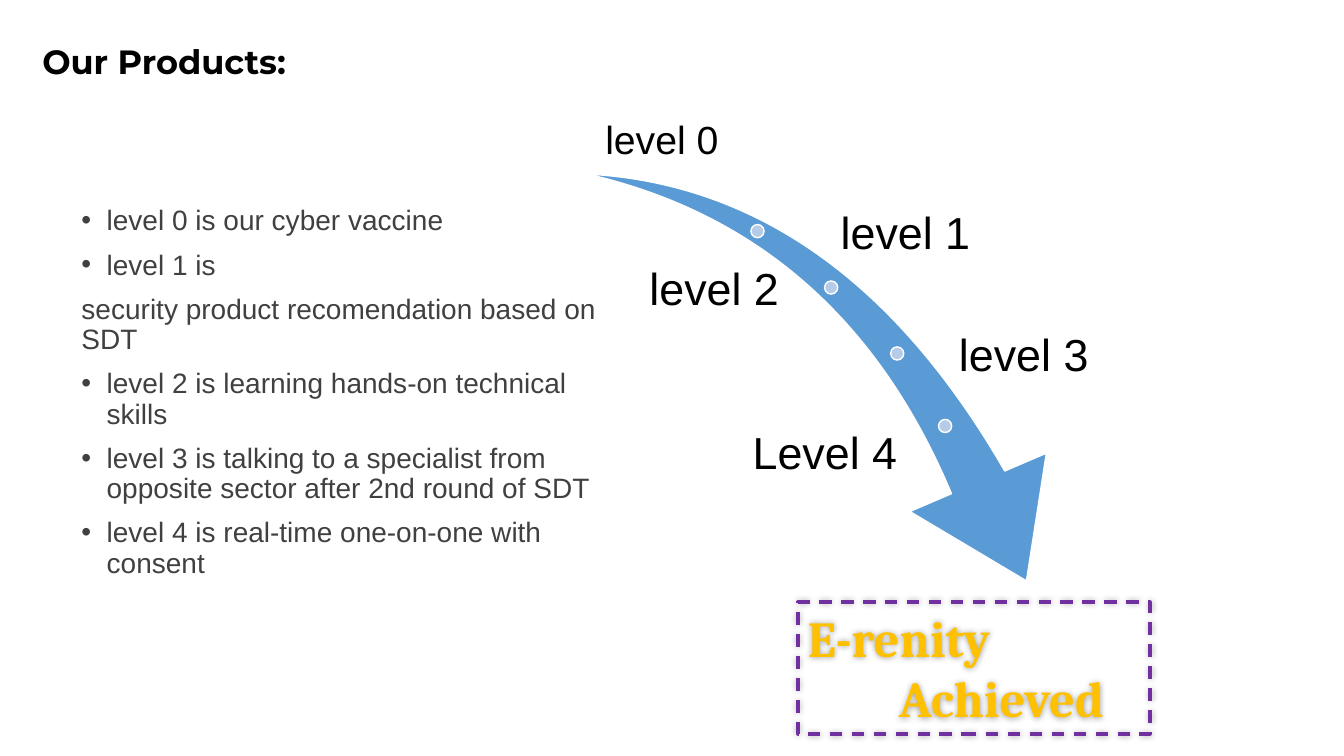
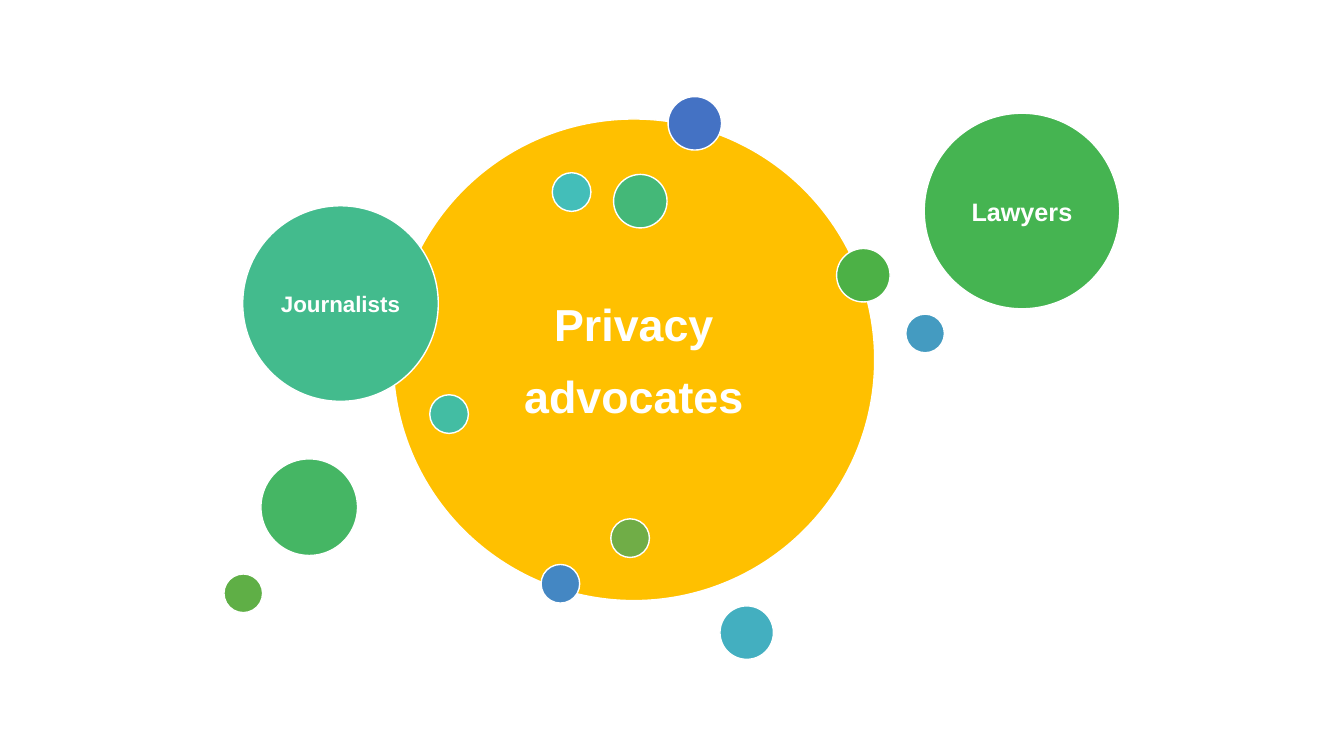
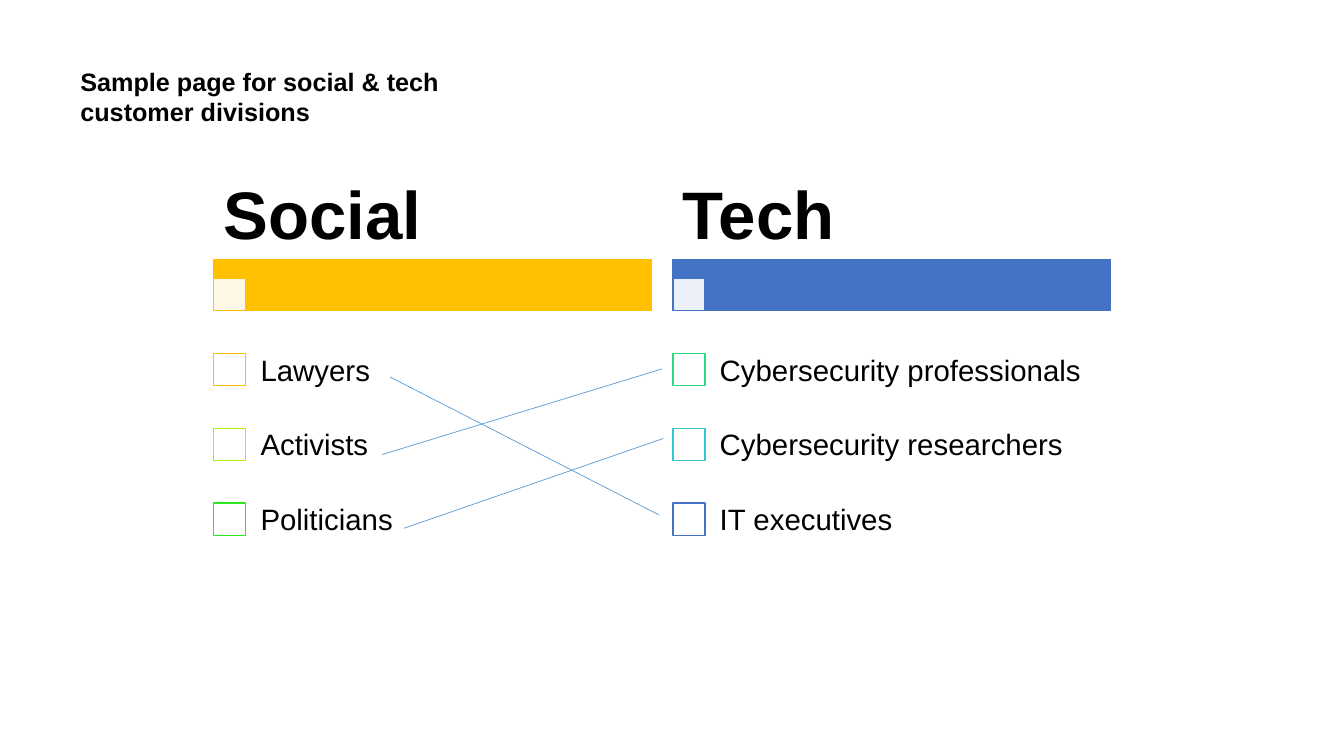
from dataclasses import dataclass

from lxml.etree import SubElement
from pptx import Presentation
from pptx.dml.color import RGBColor
from pptx.enum.dml import MSO_LINE
from pptx.enum.shapes import MSO_CONNECTOR, MSO_SHAPE
from pptx.enum.text import MSO_ANCHOR, MSO_AUTO_SIZE, PP_ALIGN
from pptx.oxml.ns import qn
from pptx.shapes.autoshape import Shape
from pptx.slide import Slide
from pptx.text.text import TextFrame
from pptx.util import Pt

BLACK, WHITE, GREY = "000000", "FFFFFF", "404040"
GOLD, BLUE, SKY, PALE, PURPLE = "FFC000", "4472C4", "5B9BD5", "B5CBE7", "7030A0"
TITLE_BODY, TITLE_ONLY, BLANK = 1, 5, 6
Frame = tuple[float, float, float, float]


@dataclass(frozen=True)
class Label:
    """A level name beside the arrow."""

    text: str
    frame: Frame
    size: float = 32
    align: PP_ALIGN = PP_ALIGN.LEFT
    anchor: MSO_ANCHOR = MSO_ANCHOR.MIDDLE


@dataclass(frozen=True)
class Bubble:
    """A circle with an optional caption."""

    left: float
    top: float
    diameter: float
    color: str
    text: str = ""
    size: float = 18


@dataclass(frozen=True)
class Division:
    """A customer division with its members and their box colours."""

    name: str
    left: float
    color: str
    members: tuple[tuple[str, str], ...]


BULLETS = (
    ("level 0 is our cyber vaccine", True),
    ("level 1 is", True),
    ("security product recomendation based on SDT", False),
    ("level 2 is learning hands-on technical skills", True),
    ("level 3 is talking to a specialist from opposite sector after 2nd round of SDT", True),
    ("level 4 is real-time one-on-one with consent", True),
)
LABELS = (
    Label("level 0", (386, 50.5, 173.5, 68.5), 28, PP_ALIGN.CENTER, MSO_ANCHOR.BOTTOM),
    Label("level 1", (597.5, 131, 258.5, 68.5)),
    Label("level 2", (386, 171.5, 173.5, 68.5), align=PP_ALIGN.RIGHT),
    Label("level 3", (682, 218, 173.5, 68.5)),
    Label("Level 4", (530.5, 299.5, 201, 46)),
)
MARKERS = ((536.4, 160.4), (589, 200.7), (636.2, 247.8), (670.4, 299.6))
LARGE, MEDIUM, SMALL, TINY = 139.7, 69, 38.2, 27.6
BUBBLES = (
    Bubble(280.8, 85, 344, GOLD, "Privacy\nadvocates", 32),
    Bubble(477.2, 69, SMALL, BLUE),
    Bubble(386.5, 403.2, TINY, "4487C3"),
    Bubble(647, 224.4, TINY, "449BC1"),
    Bubble(514.3, 432.8, SMALL, "43AFC0"),
    Bubble(394.5, 123.4, TINY, "43BEB9"),
    Bubble(307, 282, TINY, "43BDA3"),
    Bubble(173.4, 147, LARGE, "43BB8D", "Journalists", 16),
    Bubble(438.3, 124.6, SMALL, "44B878"),
    Bubble(186.4, 327.8, MEDIUM, "45B664"),
    Bubble(660.2, 80.9, LARGE, "45B451", "Lawyers", 18),
    Bubble(597.6, 177.5, SMALL, "4CB146"),
    Bubble(160, 410, TINY, "5FAF46"),
    Bubble(436.3, 370.6, TINY, "70AD47"),
)
DIVISIONS = (
    Division("Social", 152.6, GOLD, (
        ("Lawyers", GOLD), ("Activists", "A7F30E"), ("Politicians", "2EE71C"))),
    Division("Tech", 480.6, BLUE, (
        ("Cybersecurity professionals", "29DB80"),
        ("Cybersecurity researchers", "37C6CF"),
        ("IT executives", BLUE))),
)
LINKS = (
    (278.6, 269.3, 470.9, 367.9),
    (272.9, 324.7, 473, 263.5),
    (288.7, 377.3, 473.8, 313.2),
)


def color_of(value: str) -> RGBColor:
    """Turn a hex string into a colour."""
    return RGBColor.from_string(value)


def place(shape: Shape, frame: Frame) -> None:
    """Move and size a shape."""
    shape.left, shape.top, shape.width, shape.height = map(Pt, frame)


def set_frame(text_frame: TextFrame, *, anchor: MSO_ANCHOR = MSO_ANCHOR.MIDDLE,
              inset: tuple[float, float] = (7.2, 3.6)) -> TextFrame:
    """Set wrapping, anchor and margins of a text frame."""
    text_frame.word_wrap = True
    text_frame.auto_size = MSO_AUTO_SIZE.NONE
    text_frame.vertical_anchor = anchor
    text_frame.margin_left = text_frame.margin_right = Pt(inset[0])
    text_frame.margin_top = text_frame.margin_bottom = Pt(inset[1])
    return text_frame


def write(text_frame: TextFrame, text: str, *, size: float, color: str = BLACK,
          font: str = "Arial", bold: bool = False, align: PP_ALIGN = PP_ALIGN.LEFT,
          spacing: float = 1, before: float = 0, after: float = 0,
          left: float = 0, bullet: bool = False) -> None:
    """Append one formatted paragraph to a text frame."""
    para = text_frame.add_paragraph() if text_frame.text else text_frame.paragraphs[0]
    para.alignment, para.line_spacing = align, spacing
    para.space_before, para.space_after = Pt(before), Pt(after)
    properties = para._p.get_or_add_pPr()
    properties.set("marL", str(Pt(left)))
    properties.set("indent", str(Pt(-left if bullet else 0)))
    if bullet:
        SubElement(properties, qn("a:buChar")).set("char", "•")
    else:
        SubElement(properties, qn("a:buNone"))
    span = para.add_run()
    span.text = text
    span.font.name, span.font.size, span.font.bold = font, Pt(size), bold
    span.font.color.rgb = color_of(color)


def add_box(page: Slide, kind: MSO_SHAPE, frame: Frame, *, fill: str | None,
            line: str = WHITE, width: float = 1, opacity: int = 100) -> Shape:
    """Draw a preset shape without a shadow."""
    box = page.shapes.add_shape(kind, *map(Pt, frame))
    box.shadow.inherit = False
    if fill:
        box.fill.solid()
        box.fill.fore_color.rgb = color_of(fill)
        if opacity < 100:
            tone = box._element.spPr.find(f"{qn('a:solidFill')}/{qn('a:srgbClr')}")
            SubElement(tone, qn("a:alpha")).set("val", str(opacity * 1000))
    else:
        box.fill.background()
    box.line.color.rgb = color_of(line)
    box.line.width = Pt(width)
    return box


def add_text(page: Slide, frame: Frame, text: str, *, anchor: MSO_ANCHOR = MSO_ANCHOR.MIDDLE,
             inset: tuple[float, float] = (7.2, 3.6), size: float, bold: bool = False,
             align: PP_ALIGN = PP_ALIGN.LEFT) -> None:
    """Add a text box with one paragraph."""
    box = page.shapes.add_textbox(*map(Pt, frame))
    write(set_frame(box.text_frame, anchor=anchor, inset=inset), text,
          size=size, bold=bold, align=align)


def add_glow(box: Shape) -> None:
    """Give a shape a soft shadow on all sides."""
    effects = box._element.spPr.find(qn("a:effectLst"))
    shadow = SubElement(effects, qn("a:outerShdw"), blurRad=str(Pt(5)), dist="0", dir="0")
    tone = SubElement(shadow, qn("a:srgbClr"), val=BLACK)
    SubElement(tone, qn("a:alpha"), val="40000")


def add_title(page: Slide, frame: Frame, text: str, *, size: float, font: str = "Arial",
              spacing: float = 1) -> None:
    """Place and fill the title placeholder."""
    title = page.shapes.title
    place(title, frame)
    write(set_frame(title.text_frame), text, size=size, font=font, bold=True, spacing=spacing)


def build_products(page: Slide) -> None:
    """Draw the product levels along the arrow."""
    add_title(page, (23, 7.2, 404, 77), "Our Products:", size=24, font="Montserrat", spacing=0.9)
    body = page.placeholders[1]
    place(body, (51, 144, 386, 374.4))
    text_frame = set_frame(body.text_frame, anchor=MSO_ANCHOR.TOP)
    for text, bullet in BULLETS:
        write(text_frame, text, size=20, color=GREY, spacing=0.9, before=10,
              left=18 if bullet else 0, bullet=bullet)
    arrow = add_box(page, MSO_SHAPE.SWOOSH_ARROW, (411, 135.4, 368.6, 257), fill=SKY)
    arrow.rotation = 73.3
    arrow.adjustments[0], arrow.adjustments[1] = 0.16, 0.31
    for left, top in MARKERS:
        add_box(page, MSO_SHAPE.OVAL, (left, top, 9.4, 9.4), fill=PALE)
    for label in LABELS:
        inset = (7.2, 3.6) if label.text == "Level 4" else (3, 3)
        add_text(page, label.frame, label.text, anchor=label.anchor, inset=inset,
                 size=label.size, align=label.align)
    goal = add_box(page, MSO_SHAPE.RECTANGLE, (570, 430, 251.5, 94.3), fill=None,
                   line=PURPLE, width=2.25)
    goal.line.dash_style = MSO_LINE.DASH
    add_glow(goal)
    text_frame = set_frame(goal.text_frame, anchor=MSO_ANCHOR.TOP)
    for text, left in (("E-renity", 0), ("Achieved", 65)):
        write(text_frame, text, size=36, color=GOLD, font="Cambria", bold=True, left=left)


def build_bubbles(page: Slide) -> None:
    """Draw the customer circles."""
    for bubble in BUBBLES:
        frame = (bubble.left, bubble.top, bubble.diameter, bubble.diameter)
        box = add_box(page, MSO_SHAPE.OVAL, frame, fill=bubble.color)
        if bubble.text:
            text_frame = set_frame(box.text_frame, inset=(5, 5))
            lines = bubble.text.split("\n")
            for line in lines:
                after = 0 if line == lines[-1] else 0.4 * bubble.size
                write(text_frame, line, size=bubble.size, color=WHITE, bold=True,
                      align=PP_ALIGN.CENTER, after=after)


def build_divisions(page: Slide) -> None:
    """Draw both divisions and the links between their members."""
    width, check, pitch = 312.5, 23, 53.5
    for division in DIVISIONS:
        left = division.left
        add_box(page, MSO_SHAPE.RECTANGLE, (left, 185.2, width, 36.6),
                fill=division.color, line=division.color)
        add_box(page, MSO_SHAPE.RECTANGLE, (left, 198.8, check, check),
                fill=WHITE, line=division.color, opacity=90)
        add_text(page, (left, 119.2, width, 66), division.name, size=48, bold=True)
        for row, (member, color) in enumerate(division.members):
            offset = row * pitch
            add_box(page, MSO_SHAPE.RECTANGLE, (left, 252.4 + offset, check, check),
                    fill=WHITE, line=color)
            add_text(page, (left + 22, 237 + offset, width - 22, pitch), member,
                     inset=(11.5, 11.5), size=21)
    add_title(page, (50.2, 43.2, 317, 51), "Sample page for social & tech customer divisions",
              size=18)
    for ends in LINKS:
        link = page.shapes.add_connector(MSO_CONNECTOR.STRAIGHT, *map(Pt, ends))
        link.line.color.rgb = color_of(SKY)
        link.line.width = Pt(0.5)
        SubElement(link._element.spPr, qn("a:effectLst"))


def main() -> None:
    """Build and save the deck."""
    deck = Presentation()
    deck.slide_width, deck.slide_height = Pt(960), Pt(540)
    for layout, build in ((TITLE_BODY, build_products), (BLANK, build_bubbles),
                          (TITLE_ONLY, build_divisions)):
        build(deck.slides.add_slide(deck.slide_layouts[layout]))
    deck.save("out.pptx")


if __name__ == "__main__":
    main()
